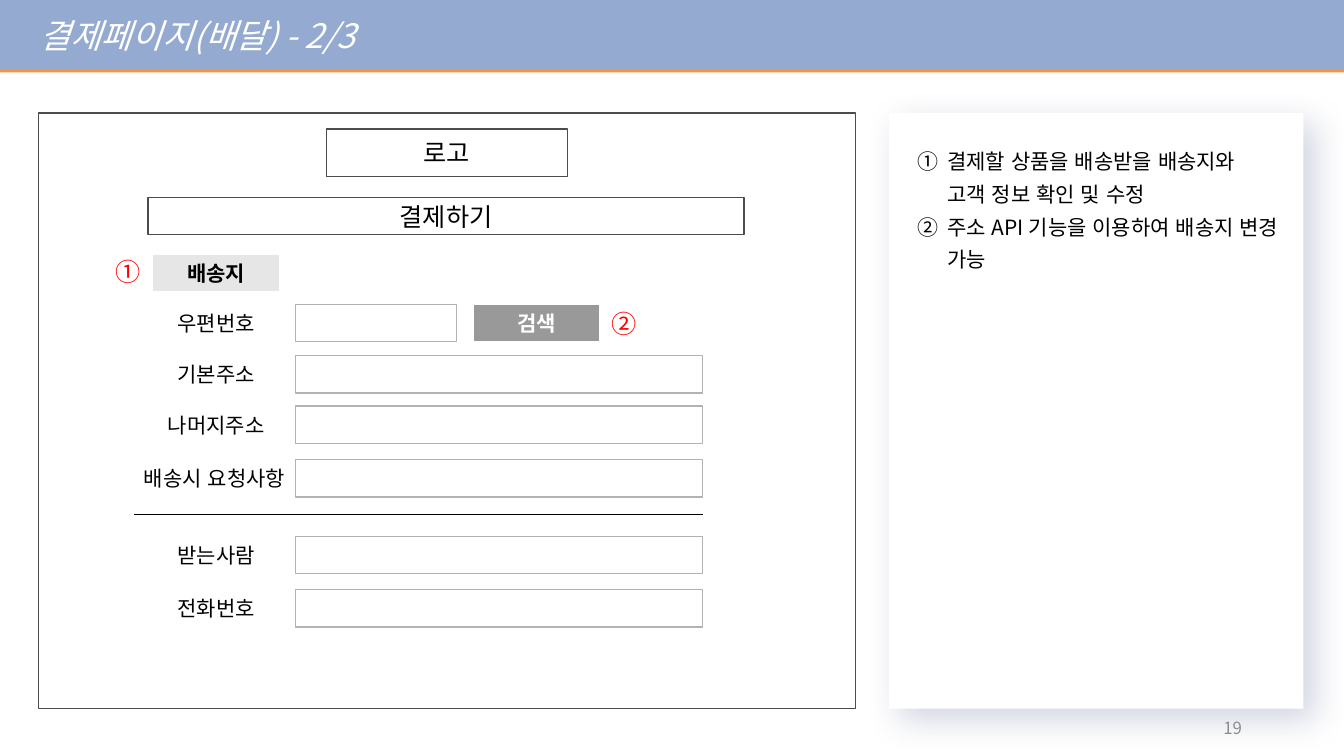
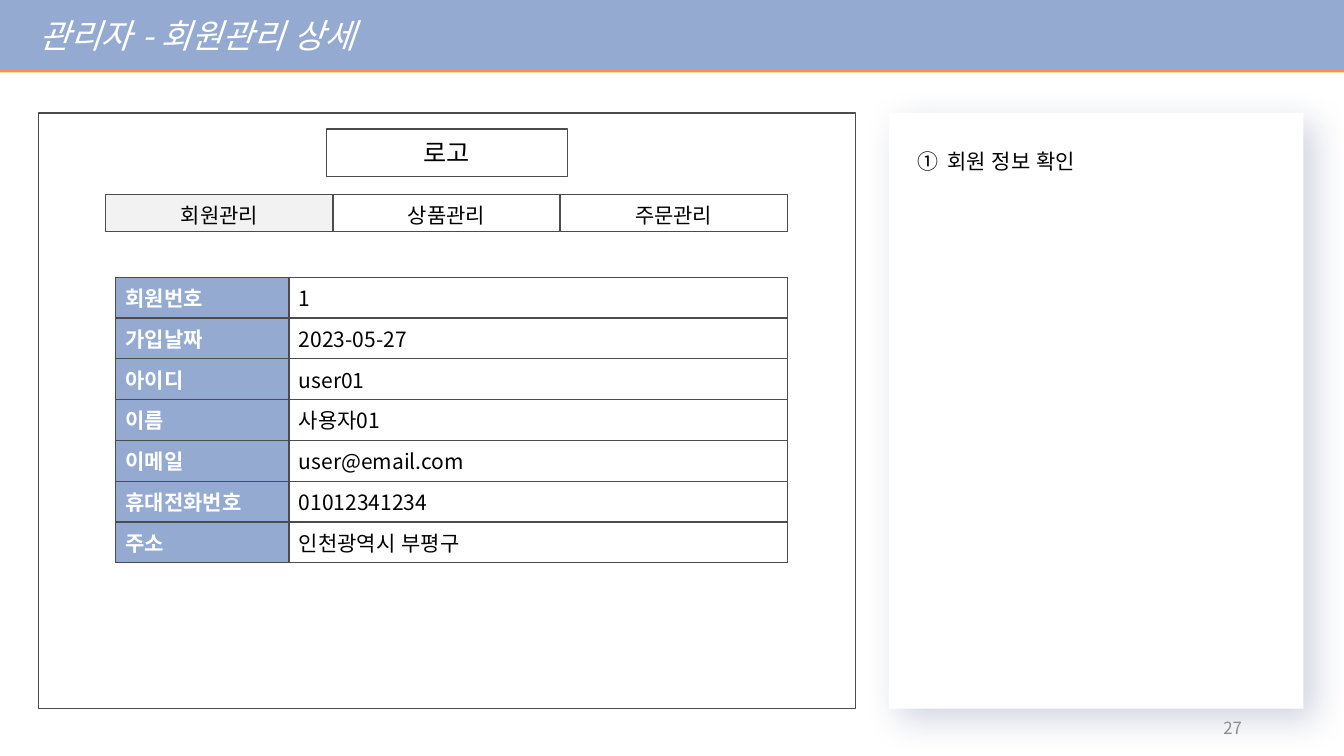
from dataclasses import dataclass
from typing import NamedTuple

from lxml.etree import SubElement
from pptx import Presentation
from pptx.dml.color import RGBColor
from pptx.enum.lang import MSO_LANGUAGE_ID as Lang
from pptx.enum.shapes import MSO_CONNECTOR as Conn, MSO_SHAPE as Shape
from pptx.enum.text import MSO_ANCHOR as Anchor, MSO_AUTO_SIZE as AutoSize, PP_ALIGN as Align
from pptx.oxml.ns import qn
from pptx.util import Emu, Inches, Pt

FONT = "Noto Sans CJK KR"
BLUE, ORANGE, NAVY = "94AAD1", "FE913E", "1E2E6C"
BLACK, WHITE, RED = "000000", "FFFFFF", "FF0000"
DARK, MID, SILVER, MIST, PALE = "4C4C4C", "999999", "B2B2B2", "E6E6E6", "F2F2F2"
PAGE_GREY = "8C8C8C"

SLIDE_W, SLIDE_H = Inches(13.333), Inches(7.5)
COLS, ROWS = 80, 45


class Box(NamedTuple):
    x: float
    y: float
    w: float
    h: float


class Shadow(NamedTuple):
    color: str
    alpha: int
    blur: float
    dist: float
    angle: int


@dataclass(frozen=True)
class Style:
    size: float = 15
    color: str = BLACK
    bold: bool = False
    italic: bool = False
    align: Align = Align.LEFT
    indent: float = 0


@dataclass(frozen=True)
class Field:
    label: str
    y: float
    width: float = 24.24
    label_x: float = 9.06
    label_w: float = 7.62
    align: Align = Align.CENTER


LINE_H = 2.22
LABEL_X, LABEL_W, FIELD_X = 9.06, 7.62, 17.58
DIVIDER_X, DIVIDER_Y = 7.98, 30.6
BAND = Box(0, 0, COLS, 4.14)
PANEL = Box(52.92, 6.72, 24.66, 35.46)
FRAME = Box(2.28, 6.72, 48.66, 35.46)
LOGO = Box(19.44, 7.68, 14.34, 2.82)
PAGE = Box(56.52, 42.12, 18, 2.4)

BODY = Style()
CENTERED = Style(align=Align.CENTER)
HEADING = Style(size=18, align=Align.CENTER)
TITLE = Style(size=24, color=WHITE, italic=True, indent=0.29)
MARKER = Style(size=18, color=RED)
PAGE_NO = Style(size=12, color=PAGE_GREY, align=Align.RIGHT)
TABLE_HEAD = Style(color=WHITE, bold=True)

FIELDS = [
    Field("우편번호", 18.12, width=9.6),
    Field("기본주소", 21.18),
    Field("나머지주소", 24.18),
    Field("배송시 요청사항", 27.36, label_x=DIVIDER_X, label_w=9.72, align=Align.LEFT),
    Field("받는사람", 31.92),
    Field("전화번호", 35.1),
]
MEMBER = [
    ("회원번호", "1"),
    ("가입날짜", "2023-05-27"),
    ("아이디", "user01"),
    ("이름", "사용자01"),
    ("이메일", "user@email.com"),
    ("휴대전화번호", "01012341234"),
    ("주소", "인천광역시 부평구"),
]


def rgb(value: str) -> RGBColor:
    return RGBColor.from_string(value)


def gx(cols: float) -> Emu:
    return Emu(round(SLIDE_W * cols / COLS))


def gy(rows: float) -> Emu:
    return Emu(round(SLIDE_H * rows / ROWS))


def place(box: Box) -> tuple[Emu, Emu, Emu, Emu]:
    return gx(box.x), gy(box.y), gx(box.w), gy(box.h)


def add_color(parent, value: str):
    return SubElement(parent, qn("a:srgbClr"), val=value)


def write(p, text: str, style: Style) -> None:
    p.alignment = style.align
    if style.indent:
        p._p.get_or_add_pPr().set("marL", str(Inches(style.indent)))
    for i, line in enumerate(text.split("\n")):
        if i:
            p.add_line_break()
        r = p.add_run()
        r.text = line
        f = r.font
        f.size, f.bold, f.italic = Pt(style.size), style.bold, style.italic
        f.color.rgb = rgb(style.color)
        f.name = FONT
        f.language_id = Lang.KOREAN
        SubElement(r._r.get_or_add_rPr(), qn("a:ea"), typeface=FONT)


def add_shadow(sp, shadow: Shadow) -> None:
    effects = sp._element.spPr.find(qn("a:effectLst"))
    outer = SubElement(effects, qn("a:outerShdw"), blurRad=str(Pt(shadow.blur)),
                       dist=str(Pt(shadow.dist)), dir=str(shadow.angle * 60000),
                       algn="tl", rotWithShape="0")
    SubElement(add_color(outer, shadow.color), qn("a:alpha"), val=str(shadow.alpha * 1000))


def add_rect(s, box: Box, fill: str = "", line: str = "", text: str = "",
             style: Style = CENTERED):
    sp = s.shapes.add_shape(Shape.RECTANGLE, *place(box))
    sp.shadow.inherit = False
    if fill:
        sp.fill.solid()
        sp.fill.fore_color.rgb = rgb(fill)
    else:
        sp.fill.background()
    if line:
        sp.line.color.rgb = rgb(line)
        sp.line.width = Pt(1)
    else:
        sp.line.fill.background()
    if text:
        sp.text_frame.vertical_anchor = Anchor.MIDDLE
        write(sp.text_frame.paragraphs[0], text, style)
    return sp


def add_text(s, box: Box, wrap: bool = True, grow: bool = True):
    tf = s.shapes.add_textbox(*place(box)).text_frame
    tf.word_wrap = wrap
    if grow:
        tf.auto_size = AutoSize.SHAPE_TO_FIT_TEXT
    return tf


def add_marker(s, x: float, y: float, text: str) -> None:
    tf = add_text(s, Box(x, y, 2.64, 2.4), wrap=False)
    write(tf.paragraphs[0], text, MARKER)


def add_notes(s, notes: list[str], height: float) -> None:
    tf = add_text(s, Box(54, 8.1, 22.68, height))
    for i, note in enumerate(notes):
        p = tf.add_paragraph() if i else tf.paragraphs[0]
        write(p, note, BODY)
        p.line_spacing = 1.3
        ppr = p._p.get_or_add_pPr()
        ppr.set("marL", str(Inches(0.3)))
        ppr.set("indent", str(-Inches(0.3)))
        add_color(SubElement(ppr, qn("a:buClr")), BLACK)
        SubElement(ppr, qn("a:buFont"), typeface=FONT)
        SubElement(ppr, qn("a:buAutoNum"), type="circleNumDbPlain")


def add_grid(s, x: float, y: float, widths: list[float], row_h: float, rows: int):
    box = Box(x, y, sum(widths), row_h * rows)
    table = s.shapes.add_table(rows, len(widths), *place(box)).table
    table.first_row = table.horz_banding = False
    for col, width in zip(table.columns, widths):
        col.width = gx(width)
    for row in table.rows:
        row.height = gy(row_h)
    return table


def fill_cell(cell, text: str, fill: str, style: Style) -> None:
    write(cell.text_frame.paragraphs[0], text, style)
    cell.fill.solid()
    cell.fill.fore_color.rgb = rgb(fill)
    tcpr = cell._tc.get_or_add_tcPr()
    for i, side in enumerate("LRTB"):
        ln = SubElement(tcpr, qn(f"a:ln{side}"), w=str(Pt(1)))
        add_color(SubElement(ln, qn("a:solidFill")), DARK)
        tcpr.insert(i, ln)


def add_page(prs, title: str, number: int, notes: list[str], notes_h: float):
    s = prs.slides.add_slide(prs.slide_layouts[6])
    add_shadow(add_rect(s, PANEL, fill=WHITE), Shadow(NAVY, 20, 25, 11, 45))
    add_shadow(add_rect(s, BAND, fill=BLUE, text=title, style=TITLE),
               Shadow(ORANGE, 100, 0, 2, 90))
    add_rect(s, FRAME, line=DARK)
    add_rect(s, LOGO, line=DARK, text="로고", style=HEADING)
    add_notes(s, notes, notes_h)
    tf = add_text(s, PAGE, grow=False)
    tf.vertical_anchor = Anchor.MIDDLE
    write(tf.paragraphs[0], str(number), PAGE_NO)
    return s


def build_payment(prs) -> None:
    s = add_page(prs, "결제페이지(배달) - 2/3", 19, [
        "결제할 상품을 배송받을 배송지와\n고객 정보 확인 및 수정",
        "주소 API 기능을 이용하여 배송지 변경 가능",
    ], 8.34)
    add_rect(s, Box(8.82, 11.76, 35.46, LINE_H), line=DARK, text="결제하기", style=HEADING)
    add_rect(s, Box(LABEL_X, 15.12, LABEL_W, LINE_H), MIST, WHITE, "배송지",
             Style(bold=True, align=Align.CENTER))
    for f in FIELDS:
        add_rect(s, Box(f.label_x, f.y, f.label_w, LINE_H), line=WHITE, text=f.label,
                 style=Style(align=f.align))
        add_rect(s, Box(FIELD_X, f.y, f.width, LINE_H), line=SILVER)
    add_rect(s, Box(28.2, FIELDS[0].y, 7.5, LINE_H), MID, WHITE, "검색",
             Style(color=WHITE, bold=True, align=Align.CENTER))
    add_marker(s, 6.3, 14.94, "①")
    add_marker(s, 35.82, 18.06, "②")
    divider = s.shapes.add_connector(Conn.STRAIGHT, gx(DIVIDER_X), gy(DIVIDER_Y),
                                     gx(FIELD_X + 24.24), gy(DIVIDER_Y))
    divider.line.color.rgb = rgb(BLACK)
    divider.line.width = Pt(0.5)
    SubElement(divider._element.spPr, qn("a:effectLst"))


def build_member(prs) -> None:
    s = add_page(prs, "관리자 - 회원관리 상세", 27, ["회원 정보 확인"], 4.44)
    tabs = add_grid(s, 6.3, 11.58, [13.52] * 3, LINE_H, 1)
    for i, name in enumerate(["회원관리", "상품관리", "주문관리"]):
        cell = tabs.cell(0, i)
        cell.margin_bottom = 0
        fill_cell(cell, name, WHITE if i else PALE, CENTERED)
    details = add_grid(s, 6.88, 16.5, [10.32, 29.7], 2.43, len(MEMBER))
    for i, (name, value) in enumerate(MEMBER):
        fill_cell(details.cell(i, 0), name, BLUE, TABLE_HEAD)
        fill_cell(details.cell(i, 1), value, WHITE, BODY)


def main() -> None:
    prs = Presentation()
    prs.slide_width, prs.slide_height = SLIDE_W, SLIDE_H
    build_payment(prs)
    build_member(prs)
    prs.save("out.pptx")


if __name__ == "__main__":
    main()
